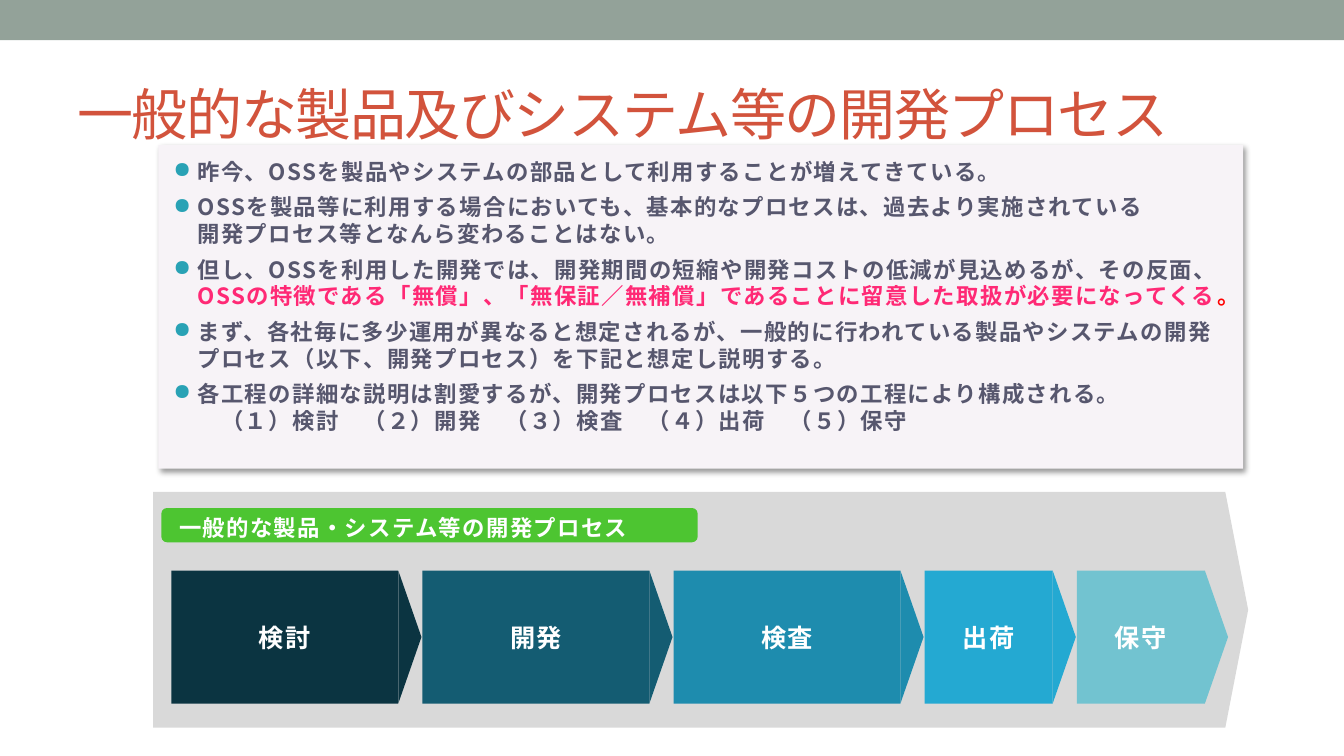
from pptx import Presentation
from pptx.dml.color import RGBColor
from pptx.enum.shapes import MSO_SHAPE
from pptx.enum.text import MSO_ANCHOR, PP_ALIGN
from pptx.oxml import parse_xml
from pptx.oxml.ns import nsdecls
from pptx.util import Inches, Pt

HEX = {
    "band": "93A299", "title": "D2533C", "frame": "D9D9D9", "panel": "F7F3F7",
    "body": "57576E", "bullet": "29A2B5", "pink": "FF2975", "red": "FF0000",
    "label": "4DC531", "white": "FFFFFF", "shade": "000000",
    "plan": "0B3441", "build": "145C72", "test": "1E8CAE",
    "ship": "24A9D2", "care": "72C3D0",
}
# Each point is a list of (text, colour) runs.
POINTS = [
    [("昨今、OSSを製品やシステムの部品として利用することが増えてきている。", "body")],
    [("OSSを製品等に利用する場合においても、基本的なプロセスは、過去より実施されている\n"
      "開発プロセス等となんら変わることはない。", "body")],
    [("但し、OSSを利用した開発では、開発期間の短縮や開発コストの低減が見込めるが、その反面、", "body"),
     ("OSSの特徴である「無償」、「無保証／無補償」であることに留意した取扱が必要になってくる", "pink"),
     ("。", "red")],
    [("まず、各社毎に多少運用が異なると想定されるが、一般的に行われている製品やシステムの開発"
      "プロセス（以下、開発プロセス）を下記と想定し説明する。", "body")],
    [("各工程の詳細な説明は割愛するが、開発プロセスは以下５つの工程により構成される。\n"
      "　（１）検討　（２）開発　（３）検査　（４）出荷　（５）保守", "body")],
]
STEPS = [("検討", 2.25, "plan"), ("開発", 2.25, "build"), ("検査", 2.25, "test"),
         ("出荷", 1.27, "ship"), ("保守", 1.27, "care")]


def block(slide, kind, box, color):
    """Add a flat preset shape without line or shadow."""
    shape = slide.shapes.add_shape(kind, *map(Inches, box))
    shape.shadow.inherit = False
    shape.fill.solid()
    shape.fill.fore_color.rgb = RGBColor.from_string(HEX[color])
    shape.line.fill.background()
    return shape


def setup(shape, inset=(0, 0, 0, 0), anchor=MSO_ANCHOR.TOP):
    """Prepare a text frame and return it."""
    frame = shape.text_frame
    frame.word_wrap = True
    frame.vertical_anchor = anchor
    (frame.margin_left, frame.margin_top,
     frame.margin_right, frame.margin_bottom) = map(Inches, inset)
    return frame


def write(para, text, color="white", size=16, font="Arial", bold=True,
          space=1, align=PP_ALIGN.LEFT):
    """Append text to a paragraph; a newline becomes a line break."""
    para.alignment = align
    for i, line in enumerate(text.split("\n")):
        if i:
            para.add_line_break()
        run = para.add_run()
        run.text = line
        run.font.size = Pt(size)
        run.font.bold = bold
        run.font.color.rgb = RGBColor.from_string(HEX[color])
        run.font.name = font
        props = run.font._element
        props.set("lang", "ja-JP")
        props.set("spc", str(space * 100))
        props.append(parse_xml(f'<a:ea {nsdecls("a")} typeface="{font}"/>'))


def bullet(para, indent):
    para.space_before = Pt(6)
    props = para._p.get_or_add_pPr()
    props.set("marL", str(Inches(indent)))
    props.set("indent", str(-Inches(indent)))
    for tag in (f'buClr {nsdecls("a")}><a:srgbClr val="{HEX["bullet"]}"/></a:buClr>',
                f'buChar {nsdecls("a")} char="●"/>'):
        props.append(parse_xml("<a:" + tag))


def shade(shape):
    """Give a shape a soft shadow to the lower right."""
    props = shape._element.spPr
    for old in props.findall("{*}effectLst"):
        props.remove(old)
    props.append(parse_xml(
        f'<a:effectLst {nsdecls("a")}><a:outerShdw blurRad="{Pt(4)}" dist="{Pt(3)}" '
        f'dir="{45 * 60000}" algn="tl" rotWithShape="0"><a:srgbClr val="{HEX["shade"]}">'
        '<a:alpha val="40000"/></a:srgbClr></a:outerShdw></a:effectLst>'))


def header(slide, box):
    left, top, width, height = box
    block(slide, MSO_SHAPE.RECTANGLE, (left, top, width, 0.4), "band")
    area = (left + 0.67, top + 0.58, 12, height - 0.58)
    title = slide.shapes.add_textbox(*map(Inches, area))
    frame = setup(title, (0.1, 0.05, 0.1, 0.05), MSO_ANCHOR.MIDDLE)
    write(frame.paragraphs[0], "一般的な製品及びシステム等の開発プロセス",
          color="title", size=40, bold=False, space=-1)


def panel(slide, box):
    left, top, width, height = box
    shade(block(slide, MSO_SHAPE.RECTANGLE, box, "panel"))
    area = (left + 0.07, top + 0.13, width - 0.02, height - 0.13)
    frame = setup(slide.shapes.add_textbox(*map(Inches, area)), (0.08, 0, 0.16, 0))
    for i, point in enumerate(POINTS):
        para = frame.add_paragraph() if i else frame.paragraphs[0]
        bullet(para, 0.24)
        for text, color in point:
            write(para, text, color=color, font="Noto Sans CJK JP")


def step(slide, box, name, color):
    """Draw a labelled block with an arrow tip on its right edge."""
    left, top, width, height = box
    tip = 0.23
    body = block(slide, MSO_SHAPE.RECTANGLE, box, color)
    write(setup(body, anchor=MSO_ANCHOR.MIDDLE).paragraphs[0], name,
          size=18, align=PP_ALIGN.CENTER)
    # The tip is laid out flat, then turned about its centre.
    area = (left + width + (tip - height) / 2, top + (height - tip) / 2, height, tip)
    block(slide, MSO_SHAPE.ISOSCELES_TRIANGLE, area, color).rotation = 90


def flow(slide, box):
    left, top, width, height = box
    block(slide, MSO_SHAPE.PENTAGON, box, "frame").adjustments[0] = 0.097
    label = block(slide, MSO_SHAPE.ROUNDED_RECTANGLE,
                  (left + 0.08, top + 0.16, 5.32, 0.34), "label")
    write(setup(label, (0.16, 0.04, 0.16, 0)).paragraphs[0],
          "一般的な製品・システム等の開発プロセス")
    x = left + 0.18
    for name, wide, color in STEPS:
        step(slide, (x, top + 0.78, wide, 1.32), name, color)
        x += wide + 0.24


def main():
    deck = Presentation()
    deck.slide_width, deck.slide_height = Inches(13.33), Inches(7.5)
    slide = deck.slides.add_slide(deck.slide_layouts[6])
    header(slide, (0, 0, 13.33, 1.66))
    flow(slide, (1.52, 4.88, 10.86, 2.34))
    panel(slide, (1.57, 1.44, 10.76, 3.21))
    deck.save("out.pptx")


if __name__ == "__main__":
    main()
